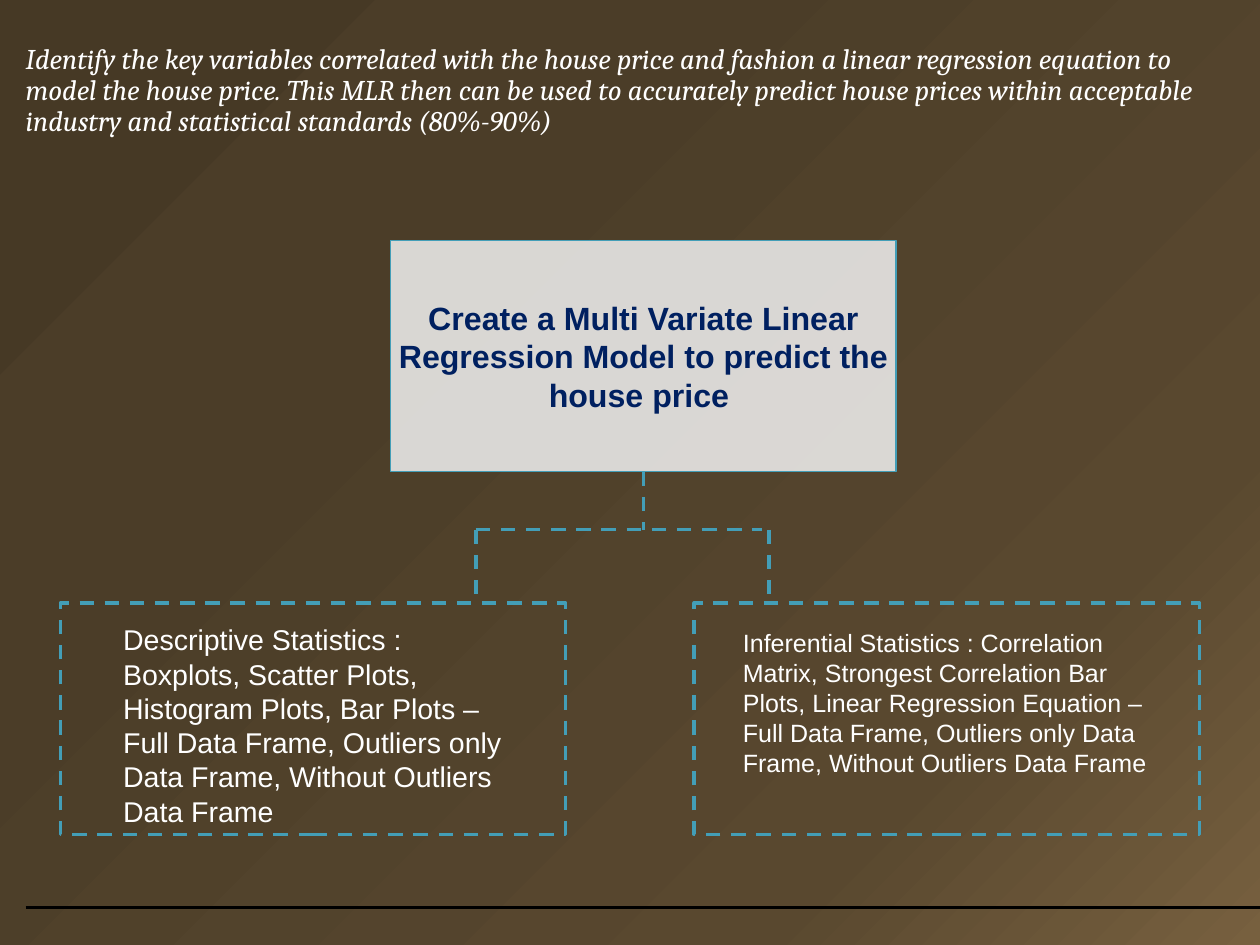
import pptx
import pptx.util
import pptx.oxml
import pptx.oxml.ns
import pptx.dml.color
import pptx.enum.dml
import pptx.enum.shapes
import pptx.enum.text
import lxml.etree

COLUMNS, ROWS = 98, 73.5
CELL = pptx.util.Inches(0.1)
TEAL, WHITE, NAVY = "439EB7", "FFFFFF", "002060"
qn = pptx.oxml.ns.qn


def grid(*cells):
    return [round(cell * CELL) for cell in cells]


def paint(target, color):
    if hasattr(target, "solid"):
        target.solid()
        target = target.fore_color
    target.rgb = pptx.dml.color.RGBColor.from_string(color)


deck = pptx.Presentation()
deck.slide_width, deck.slide_height = grid(COLUMNS, ROWS)
page = deck.slides.add_slide(deck.slide_layouts[6])

page.background.fill.solid()
solid = page._element.find(".//" + qn("a:solidFill"))
stops = [(0, "77603F"), (23, "59482F"), (69, "4B3D28"), (97, "463925")]
stop_xml = "".join(
    f'<a:gs pos="{share * 1000}"><a:srgbClr val="{color}"/></a:gs>' for share, color in stops
)
gradient = pptx.oxml.parse_xml(
    f'<a:gradFill {pptx.oxml.ns.nsdecls("a")} rotWithShape="1"><a:gsLst>{stop_xml}</a:gsLst>'
    '<a:path path="circle"><a:fillToRect l="100000" t="100000"/></a:path></a:gradFill>'
)
solid.getparent().replace(solid, gradient)

card_width, card_height = 39.3, 18
goal_left, goal_top = 30.4, 18.7
cards_top, bar_top = 46.9, 41.2
goal_middle = goal_left + card_width / 2

cards = []
for left, top in [(goal_left, goal_top), (4.7, cards_top), (54, cards_top)]:
    card = page.shapes.add_shape(
        pptx.enum.shapes.MSO_SHAPE.RECTANGLE, *grid(left, top, card_width, card_height)
    )
    card.shadow.inherit = False
    card.fill.background()
    paint(card.line.fill, TEAL)
    card.line.width = pptx.util.Pt(2)
    card.line.dash_style = pptx.enum.dml.MSO_LINE.DASH
    cards.append(card)

goal = cards[0]
paint(goal.fill, "F2F2F2")
goal_color = goal._element.spPr.find(qn("a:solidFill")).find(qn("a:srgbClr"))
lxml.etree.SubElement(goal_color, qn("a:alpha")).set("val", "85000")
goal.line.width = pptx.util.Pt(0.75)
goal.line.dash_style = pptx.enum.dml.MSO_LINE.SOLID

links = [
    (2, 70.6, COLUMNS, 70.6, "000000"),
    (37, bar_top, 37, cards_top, TEAL),
    (59.8, bar_top, 59.8, cards_top, TEAL),
    (37, bar_top, 59.3, bar_top, TEAL),
    (goal_middle, goal_top + card_height, goal_middle, bar_top, TEAL),
]
for *ends, color in links:
    link = page.shapes.add_connector(pptx.enum.shapes.MSO_CONNECTOR.STRAIGHT, *grid(*ends))
    paint(link.line.fill, color)
    link.line.width = pptx.util.Pt(2)
    if color == TEAL:
        link.line.dash_style = pptx.enum.dml.MSO_LINE.DASH
    lxml.etree.SubElement(link._element.spPr, qn("a:effectLst"))
link.begin_connect(goal, 2)

title, descriptive, inferential = [
    page.shapes.add_textbox(*grid(*place))
    for place in [(2, 3.5, 94.1, 9.7), (8.6, 47.9, 33.7, 17.2), (56.8, 48.3, 33.7, 12.8)]
]
texts = [
    (title, "Identify the key variables correlated with the house price and fashion a linear "
            "regression equation to model the house price. This MLR then can be used to "
            "accurately predict house prices within acceptable industry and statistical "
            "standards (80%-90%)", "Cambria", 16, WHITE),
    (goal, "Create a Multi Variate Linear Regression Model to predict the house price ",
     "Arial", 18, NAVY),
    (descriptive, "Descriptive Statistics :\nBoxplots, Scatter Plots, Histogram Plots, Bar Plots – "
                  "Full Data Frame, Outliers only Data Frame, Without Outliers Data Frame",
     "Arial", 16, WHITE),
    (inferential, "Inferential Statistics : Correlation Matrix, Strongest Correlation Bar Plots, "
                  "Linear Regression Equation – Full Data Frame, Outliers only Data Frame, "
                  "Without Outliers Data Frame", "Arial", 14, WHITE),
]
for box, words, font, size, color in texts:
    frame = box.text_frame
    frame.word_wrap = True
    frame.text = words
    if box in (title, goal):
        frame.margin_left = frame.margin_right = frame.margin_top = frame.margin_bottom = 0
    for para in frame.paragraphs:
        for span in para.runs:
            span.font.name = font
            span.font.size = pptx.util.Pt(size)
            span.font.bold = box is goal
            span.font.italic = box is title
            paint(span.font.fill, color)

title.text_frame.paragraphs[0].line_spacing = 0.9
goal.text_frame.vertical_anchor = pptx.enum.text.MSO_ANCHOR.MIDDLE
goal.text_frame.paragraphs[0].alignment = pptx.enum.text.PP_ALIGN.CENTER

deck.save("out.pptx")
